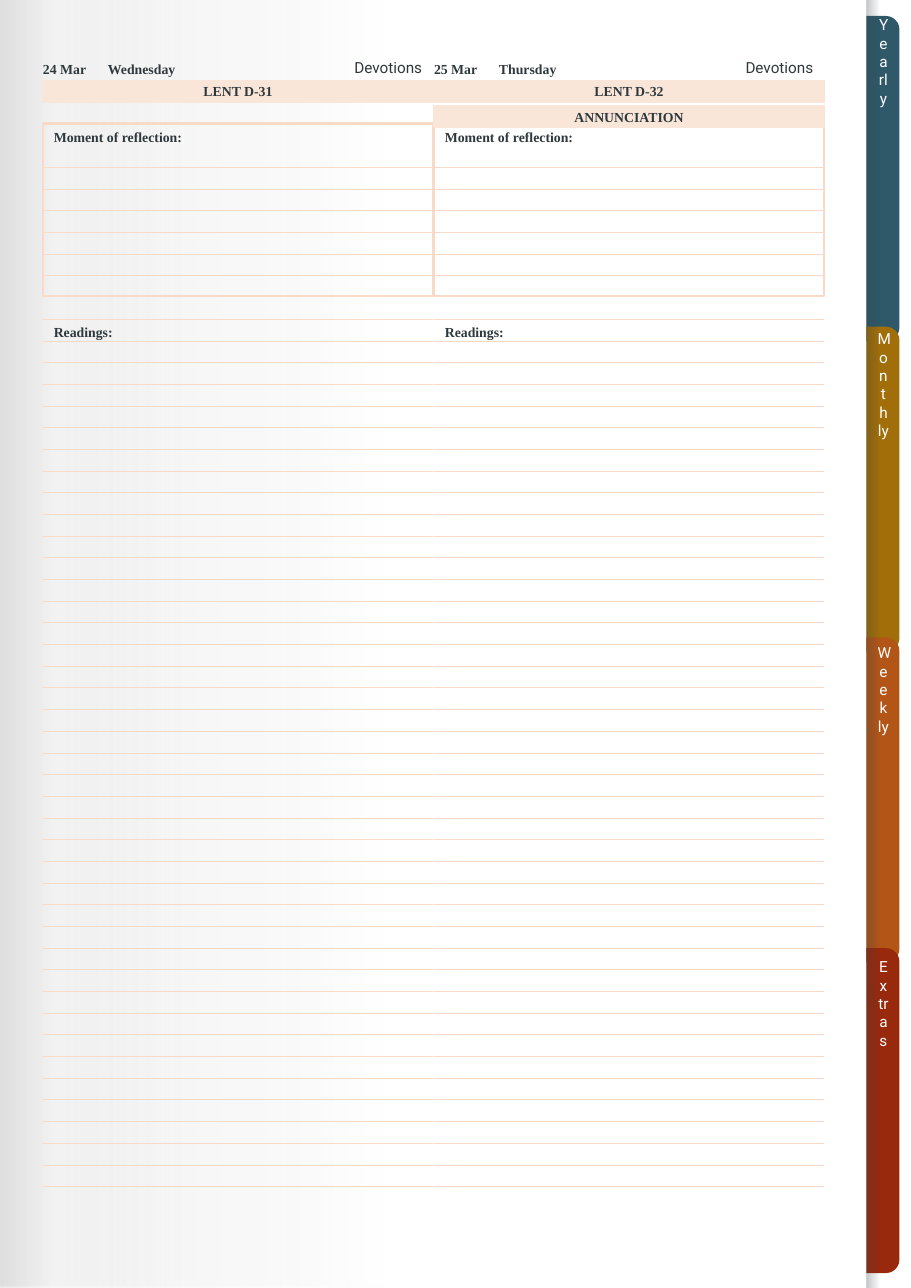
import pptx
import pptx.dml.color
import pptx.enum.shapes
import pptx.enum.text
import pptx.oxml
import pptx.oxml.ns
import pptx.util
from pptx.util import Inches

RGBColor = pptx.dml.color.RGBColor
SHAPES = pptx.enum.shapes.MSO_SHAPE
ANCHOR = pptx.enum.text.MSO_ANCHOR
ALIGN = pptx.enum.text.PP_ALIGN

INK = RGBColor(0x2F, 0x39, 0x3D)
WHITE = RGBColor(0xFF, 0xFF, 0xFF)
RULE = RGBColor(0xF8, 0xDA, 0xC6)
BANNER = RGBColor(0xFA, 0xE6, 0xD9)
TEAL = RGBColor(0x2F, 0x58, 0x69)
OCHRE = RGBColor(0xA1, 0x6E, 0x09)
ORANGE = RGBColor(0xB3, 0x55, 0x17)
RED = RGBColor(0x98, 0x29, 0x0D)

SERIF = {"name": "Times New Roman", "size": pptx.util.Pt(9), "bold": True}
SANS = {"name": "Roboto", "size": pptx.util.Pt(10), "bold": False}

PAGE_WIDTH, PAGE_HEIGHT = 8.27, 11.69
COLUMN_WIDTH, ROW_HEIGHT = 3.54, 0.2
HEADER_TOP, BANNER_TOP, BOX_TOP = 0.53, 0.73, 1.12
FIRST_RULE, LAST_RULE, RULE_GAPS = 1.52, 10.77, 47
BOX_BOTTOM_ROW, READINGS_TOP = 6, 2.89
TAB_LEFT, TAB_WIDTH, TAB_LENGTH = 7.87, 0.3, 2.95

presentation = pptx.Presentation()
presentation.slide_width = Inches(PAGE_WIDTH)
presentation.slide_height = Inches(PAGE_HEIGHT)
slide = presentation.slides.add_slide(presentation.slide_layouts[6])


def add_box(position, kind=SHAPES.RECTANGLE, fill=None, line=None, width=1,
            gradient=None, text=None, font=SERIF, color=INK, anchor=ANCHOR.MIDDLE,
            align=ALIGN.LEFT, left_inset=0.1):
    """Add a shape; gradient stops are (percent, colour, opacity percent)."""
    place = [Inches(length) for length in position]
    if fill or line or gradient:
        shape = slide.shapes.add_shape(kind, *place)
        shape.shadow.inherit = False
        if gradient:
            shape.fill.gradient()
            shape.fill.gradient_angle = 0
            stops = shape._element.spPr.find(".//" + pptx.oxml.ns.qn("a:gsLst"))
            for stop in list(stops):
                stops.remove(stop)
            for percent, stop_color, opacity in gradient:
                stops.append(pptx.oxml.parse_xml(
                    f'<a:gs {pptx.oxml.ns.nsdecls("a")} pos="{percent * 1000}">'
                    f'<a:srgbClr val="{stop_color}"><a:alpha val="{opacity * 1000}"/>'
                    '</a:srgbClr></a:gs>'))
        elif fill:
            shape.fill.solid()
            shape.fill.fore_color.rgb = fill
        else:
            shape.fill.background()
        if line:
            shape.line.color.rgb = line
            shape.line.width = pptx.util.Pt(width)
        else:
            shape.line.fill.background()
    else:
        shape = slide.shapes.add_textbox(*place)
    if text:
        frame = shape.text_frame
        frame_format = {"word_wrap": True, "vertical_anchor": anchor,
                        "margin_left": Inches(left_inset), "margin_right": Inches(0.1),
                        "margin_top": 0, "margin_bottom": 0}
        for name, value in frame_format.items():
            setattr(frame, name, value)
        paragraph = frame.paragraphs[0]
        paragraph.text = text
        paragraph.alignment = align
        for name, value in font.items():
            setattr(paragraph.runs[0].font, name, value)
        paragraph.runs[0].font.color.rgb = color
    return shape


def add_rule(start_x, start_y, end_x, end_y, color, width):
    rule = slide.shapes.add_connector(
        pptx.enum.shapes.MSO_CONNECTOR.STRAIGHT,
        *[Inches(length) for length in (start_x, start_y, end_x, end_y)])
    rule.line.color.rgb = color
    rule.line.width = pptx.util.Pt(width)
    rule._element.spPr.append(pptx.oxml.parse_xml(
        f'<a:effectLst {pptx.oxml.ns.nsdecls("a")}/>'))


# Page shading and the coloured tabs along the edge
add_box((0, 0, PAGE_WIDTH, PAGE_HEIGHT), gradient=[
    (0, "D9D9D9", 88), (6, "D9D9D9", 33), (19, "F2F2F2", 65), (43, "FFFFFF", 100)])
for index, tab_color in enumerate([TEAL, OCHRE, ORANGE, RED]):
    tab = add_box((6.54, 1.47 + index * 2.82, TAB_LENGTH, TAB_WIDTH),
                  SHAPES.ROUND_2_SAME_RECTANGLE, fill=tab_color)
    tab.rotation = 90
    tab.adjustments[0] = 0.41
    tab.adjustments[1] = 0
add_box((TAB_LEFT, 0, 0.39, PAGE_HEIGHT),
        gradient=[(0, "384448", 30), (31, "384448", 0), (100, "384448", 0)])

# One column per day
days = [
    (0.39, "24 Mar", "Wednesday", ["LENT D-31"]),
    (3.94, "25 Mar", "Thursday", ["LENT D-32", "ANNUNCIATION"]),
]
rule_gap = (LAST_RULE - FIRST_RULE) / RULE_GAPS
for left, date, weekday, banners in days:
    for row in range(RULE_GAPS + 1):
        if row != BOX_BOTTOM_ROW:
            y = FIRST_RULE + row * rule_gap
            add_rule(left, y, left + COLUMN_WIDTH, y, RULE, 0.5)
    add_box((left, BOX_TOP, COLUMN_WIDTH, 1.57), line=RULE, width=1.5)
    for top, width, label in [(BOX_TOP, COLUMN_WIDTH, "Moment of reflection:"),
                              (READINGS_TOP, 1.77, "Readings:")]:
        add_box((left, top, width, ROW_HEIGHT), text=label, anchor=ANCHOR.BOTTOM)
    if left == days[0][0]:
        divider = days[1][0]
        add_rule(divider, READINGS_TOP, divider, PAGE_HEIGHT, WHITE, 1.5)

for left, date, weekday, banners in days:
    for index, banner in reversed(list(enumerate(banners))):
        add_box((left, BANNER_TOP + index * 0.23, COLUMN_WIDTH, ROW_HEIGHT),
                fill=BANNER, line=BANNER, text=banner, align=ALIGN.CENTER)
    add_box((left, HEADER_TOP, 0.59, ROW_HEIGHT), text=date, left_inset=0)
    add_box((left + 0.59, HEADER_TOP, 0.79, ROW_HEIGHT), text=weekday, left_inset=0)
    add_box((left + 1.37, HEADER_TOP, 2.17, 0.3), text="Devotions", font=SANS,
            anchor=ANCHOR.TOP, align=ALIGN.RIGHT)

# Tab labels run down the page
for index, label in enumerate(["Yearly", "Monthly", "Weekly", "Extras"]):
    tab_label = add_box((TAB_LEFT, 0.14 + index * 2.85, TAB_WIDTH, 2.85), text=label,
                        font=SANS, color=WHITE, align=ALIGN.CENTER)
    tab_label.text_frame._txBody.bodyPr.set("vert", "mongolianVert")

presentation.save("out.pptx")
